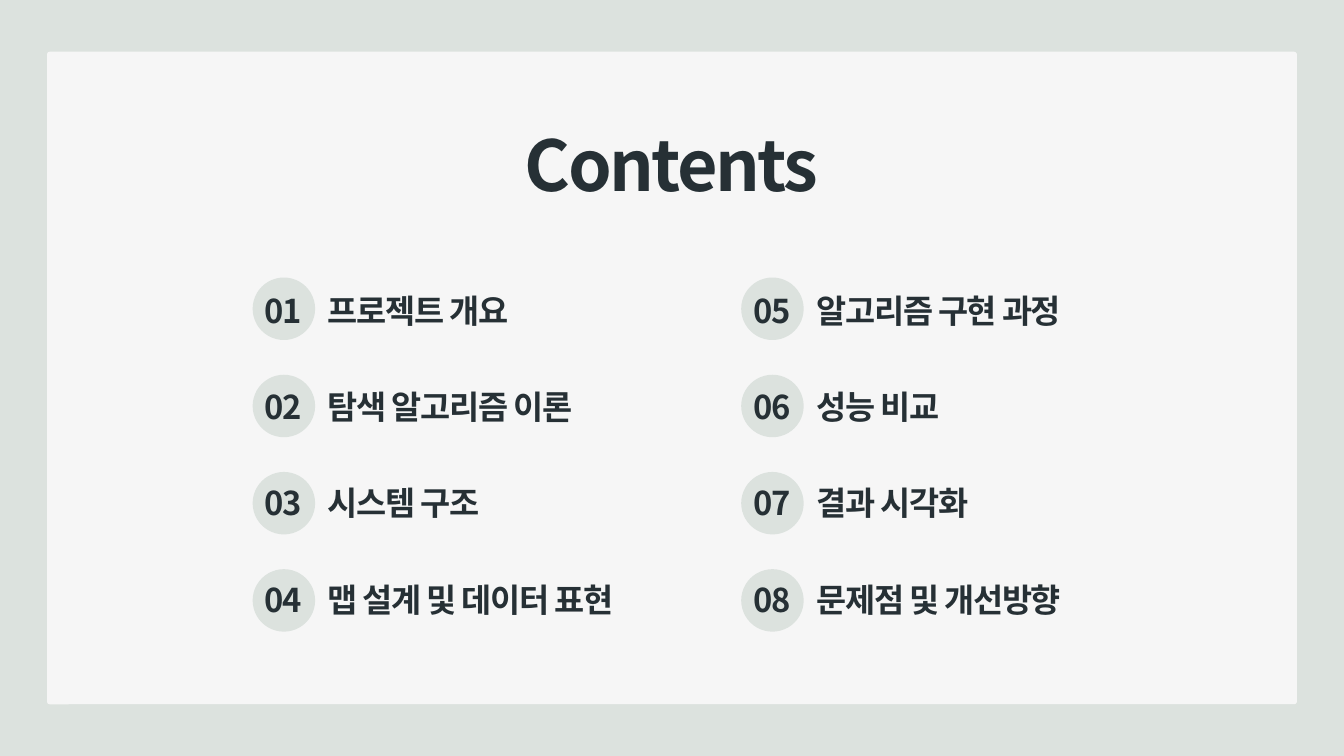
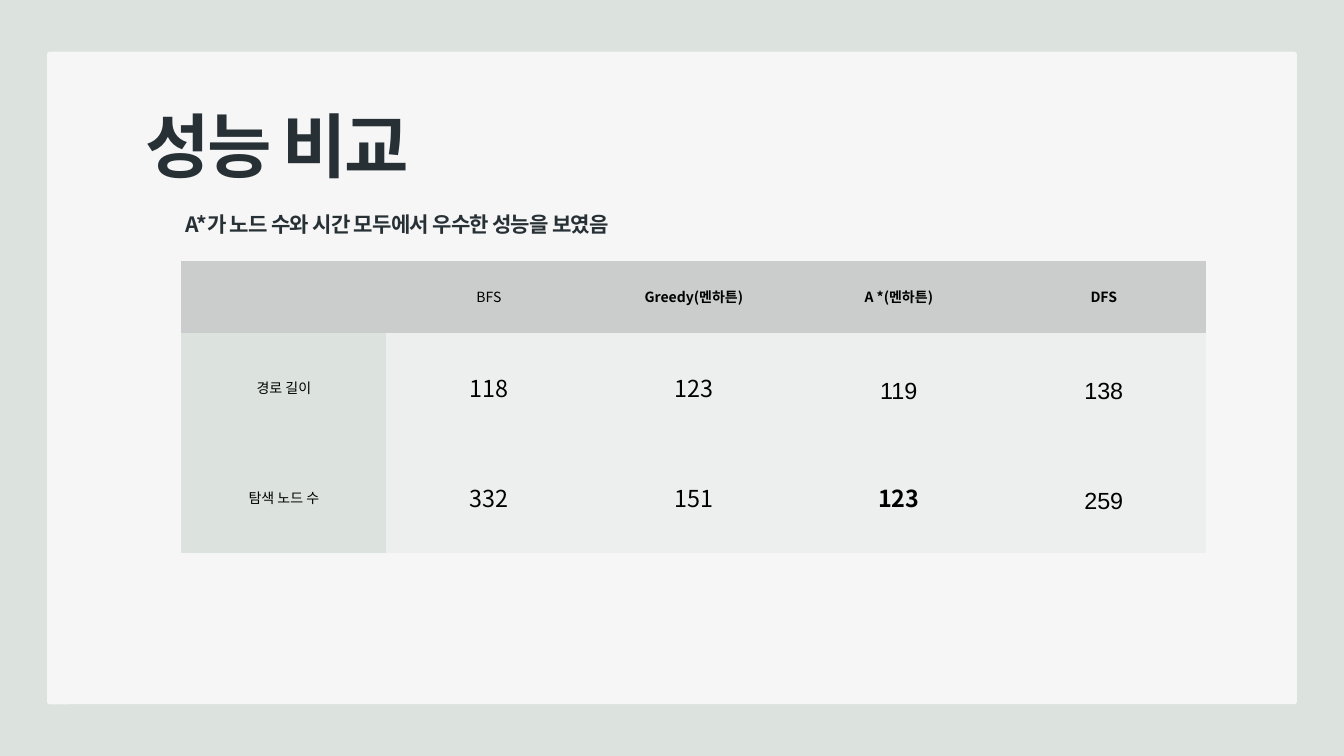
"""Build the contents slide and the performance comparison slide."""
from pptx import Presentation
from pptx.dml.color import RGBColor
from pptx.enum import shapes, text
from pptx.oxml import ns
from pptx.util import Inches, Pt
from lxml import etree

COLORS = {"sage": "DCE2DE", "card": "F6F6F6", "ink": "263035",
          "header": "CACDCB", "cell": "ECEFED", "black": "000000"}
SANS, ARIAL = "Noto Sans CJK KR", "Arial"
NO_STYLE = "{2D5ABB26-0587-4C30-8999-92F81FD0307C}"

CHAPTERS = ["프로젝트 개요", "탐색 알고리즘 이론", "시스템 구조", "맵 설계 및 데이터 표현",
            "알고리즘 구현 과정", "성능 비교", "결과 시각화", "문제점 및 개선방향"]
CHAPTERS_PER_COLUMN = 4

FINDING = "A*가 노드 수와 시간 모두에서 우수한 성능을 보였음"
RESULTS = [["", "BFS", "Greedy(멘하튼)", "A *(멘하튼)", "DFS"],
           ["경로 길이", "118", "123", "119", "138"],
           ["탐색 노드 수", "332", "151", "123", "259"]]
BOLD_CELLS = {(0, 2), (0, 3), (0, 4), (2, 3)}
ARIAL_CELLS = {(1, 3), (1, 4), (2, 4)}
ROW_HEIGHTS = [1.07, 1.64, 1.64]
COLUMN_WIDTH = 3.05


def color(name):
    return RGBColor.from_string(COLORS[name])


def style(paragraph, size, leading, ink="ink", bold=True, face=SANS, spacing=0,
          align=text.PP_ALIGN.LEFT, tab=None):
    paragraph.alignment = align
    paragraph.line_spacing = Pt(leading)
    properties = paragraph._p.get_or_add_pPr()
    if tab:
        stops = etree.SubElement(properties, ns.qn("a:tabLst"))
        etree.SubElement(stops, ns.qn("a:tab"), pos=str(Inches(tab)), algn="l")
    font = paragraph.font
    font.size, font.bold, font.name = Pt(size), bold, face
    font.color.rgb = color(ink)
    defaults = properties.find(ns.qn("a:defRPr"))
    defaults.set("spc", str(round(spacing * 100)))
    east_asian = etree.Element(ns.qn("a:ea"), typeface=face)
    defaults.find(ns.qn("a:latin")).addnext(east_asian)


def write(box, words, *args, **kwargs):
    frame = box.text_frame
    frame.margin_left = frame.margin_right = frame.margin_top = frame.margin_bottom = 0
    frame.word_wrap = True
    frame.auto_size = text.MSO_AUTO_SIZE.SHAPE_TO_FIT_TEXT
    frame.vertical_anchor = text.MSO_ANCHOR.TOP
    frame.text = words
    style(frame.paragraphs[0], *args, **kwargs)


def add_box(slide, place, words, *args, **kwargs):
    box = slide.shapes.add_textbox(*map(Inches, place))
    write(box, words, *args, **kwargs)


def add_plain_shape(slide, preset, place, fill):
    shape = slide.shapes.add_shape(preset, *map(Inches, place))
    shape.shadow.inherit = False
    shape.fill.solid()
    shape.fill.fore_color.rgb = color(fill)
    shape.line.fill.background()
    return shape


def add_card_slide(deck, heading, place, align):
    slide = deck.slides.add_slide(deck.slide_layouts[5])
    card_width, card_height, corner = 18.6, 9.71, 0.04
    card = add_plain_shape(slide, shapes.MSO_SHAPE.ROUNDED_RECTANGLE,
                           (0.7, 0.77, card_width, card_height), "card")
    card.adjustments[0] = corner / card_height
    title = slide.shapes.title
    title._element.addprevious(card._element)
    title.left, title.top, title.width, title.height = map(Inches, place)
    write(title, heading, 75, 89.2, spacing=-2.7, align=align)
    return slide


def build_contents(deck):
    slide = add_card_slide(deck, "Contents", (7.05, 1.82, 5.89, 1.28), text.PP_ALIGN.CENTER)
    for index, chapter in enumerate(CHAPTERS):
        column, row = divmod(index, CHAPTERS_PER_COLUMN)
        left = 3.76 + column * 7.27
        add_plain_shape(slide, shapes.MSO_SHAPE.OVAL,
                        (left, 4.13 + row * 4.34 / 3, 0.93, 0.93), "sage")
        add_box(slide, (left + 0.18, 4.33 + row * 4.3 / 3, 6, 0.6),
                f"{index + 1:02}\t{chapter}", 35.1, 41.7, spacing=-1.3, tab=0.94)


def build_comparison(deck):
    slide = add_card_slide(deck, "성능 비교", (2.16, 1.53, 11.89, 1.28), text.PP_ALIGN.LEFT)
    columns = len(RESULTS[0])
    frame = slide.shapes.add_table(
        len(RESULTS), columns, Inches(2.7), Inches(3.88),
        Inches(columns * COLUMN_WIDTH), Inches(sum(ROW_HEIGHTS)))
    table = frame.table
    table.first_row = table.horz_banding = False
    table._tbl.tblPr.find(ns.qn("a:tableStyleId")).text = NO_STYLE
    for column in table.columns:
        column.width = Inches(COLUMN_WIDTH)
    for r, (values, height) in enumerate(zip(RESULTS, ROW_HEIGHTS)):
        table.rows[r].height = Inches(height)
        for c, value in enumerate(values):
            cell = table.cell(r, c)
            cell.fill.solid()
            cell.fill.fore_color.rgb = color("header" if r == 0 else "sage" if c == 0 else "cell")
            cell.vertical_anchor = text.MSO_ANCHOR.MIDDLE
            cell.margin_left = cell.margin_right = Inches(0.21)
            cell.margin_top = cell.margin_bottom = Inches(0.21)
            if value:
                cell.text = value
                size = 25 if r and c else 15
                style(cell.text_frame.paragraphs[0], size, size * 1.4, "black",
                      bold=(r, c) in BOLD_CELLS,
                      face=ARIAL if (r, c) in ARIAL_CELLS else SANS,
                      align=text.PP_ALIGN.CENTER)
    add_box(slide, (2.7, 3.15, 6.43, 0.38), FINDING, 22.6, 26.8,
            spacing=-0.8, align=text.PP_ALIGN.CENTER)


def main():
    deck = Presentation()
    deck.slide_width, deck.slide_height = Inches(20), Inches(11.25)
    backdrop = deck.slide_master.background.fill
    backdrop.solid()
    backdrop.fore_color.rgb = color("sage")
    build_contents(deck)
    build_comparison(deck)
    deck.save("out.pptx")


if __name__ == "__main__":
    main()
